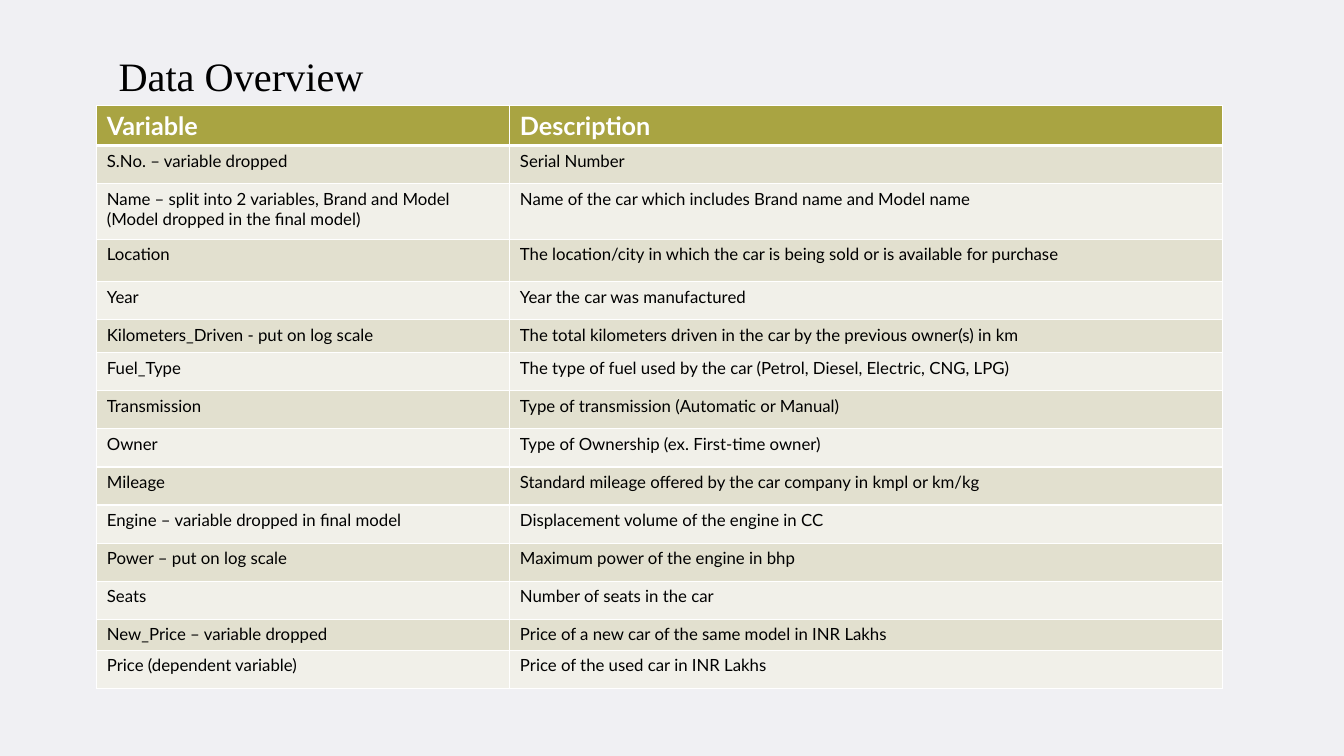
from lxml.etree import SubElement
from pptx import Presentation
from pptx.dml.color import RGBColor
from pptx.enum.text import MSO_ANCHOR
from pptx.oxml.ns import qn
from pptx.util import Cm, Pt

HUES = {
    "back": "F0F0F3",
    "head": "A9A442",
    "odd": "E2E0CF",
    "even": "F1F0E9",
    "white": "FFFFFF",
    "black": "000000",
}

ROWS = [
    ("Variable", "Description"),
    ("S.No. – variable dropped", "Serial Number"),
    ("Name – split into 2 variables, Brand and Model (Model dropped in the final model)",
     "Name of the car which includes Brand name and Model name"),
    ("Location", "The location/city in which the car is being sold or is available for purchase"),
    ("Year", "Year the car was manufactured"),
    ("Kilometers_Driven - put on log scale",
     "The total kilometers driven in the car by the previous owner(s) in km"),
    ("Fuel_Type", "The type of fuel used by the car (Petrol, Diesel, Electric, CNG, LPG)"),
    ("Transmission", "Type of transmission (Automatic or Manual)"),
    ("Owner", "Type of Ownership (ex. First-time owner)"),
    ("Mileage", "Standard mileage offered by the car company in kmpl or km/kg"),
    ("Engine – variable dropped in final model", "Displacement volume of the engine in CC"),
    ("Power – put on log scale", "Maximum power of the engine in bhp"),
    ("Seats", "Number of seats in the car"),
    ("New_Price – variable dropped", "Price of a new car of the same model in INR Lakhs"),
    ("Price (dependent variable)", "Price of the used car in INR Lakhs"),
]
COLS = [10.41, 17.96]
TALL = 0.96
ODD_TALL = {0: 1, 2: 1.4, 3: 1.07, 5: 0.83, 13: 0.78}


def hue(name):
    return RGBColor.from_string(HUES[name])


def style(para, face, size, color, bold=False):
    for run in para.runs:
        font = run.font
        font.name, font.size, font.bold = face, Pt(size), bold
        font.color.rgb = hue(color)


def add_title(slide, left, top, width, height):
    box = slide.shapes.add_textbox(Cm(left), Cm(top), Cm(width), Cm(height))
    frame = box.text_frame
    frame.word_wrap = True
    frame.vertical_anchor = MSO_ANCHOR.BOTTOM
    frame.text = "Data Overview"
    style(frame.paragraphs[0], "Times New Roman", 28.8, "black")


def add_edges(cell, row):
    props = cell._tc.get_or_add_tcPr()
    heavy = {"T": row == 1, "B": row == 0}
    for side in "LRTB":
        width = Pt(3 if heavy.get(side) else 1)
        line = SubElement(props, qn(f"a:ln{side}"), w=str(width))
        fill = SubElement(line, qn("a:solidFill"))
        SubElement(fill, qn("a:srgbClr"), val=HUES["white"])


def fill_cell(cell, row, text):
    add_edges(cell, row)
    cell.fill.solid()
    cell.fill.fore_color.rgb = hue("head" if row == 0 else "odd" if row % 2 else "even")
    cell.text_frame.text = text
    size, color = (18, "white") if row == 0 else (12, "black")
    style(cell.text_frame.paragraphs[0], "Lato", size, color, row == 0)


def add_grid(slide, left, top):
    talls = [ODD_TALL.get(row, TALL) for row in range(len(ROWS))]
    grid = slide.shapes.add_table(len(ROWS), len(COLS), Cm(left), Cm(top),
                                  Cm(sum(COLS)), Cm(sum(talls))).table
    for col, width in enumerate(COLS):
        grid.columns[col].width = Cm(width)
    for row, texts in enumerate(ROWS):
        grid.rows[row].height = Cm(talls[row])
        for col, text in enumerate(texts):
            fill_cell(grid.cell(row, col), row, text)


def main():
    deck = Presentation()
    deck.slide_width, deck.slide_height = Cm(33.87), Cm(19.05)
    slide = deck.slides.add_slide(deck.slide_layouts[6])
    slide.background.fill.solid()
    slide.background.fill.fore_color.rgb = hue("back")
    add_title(slide, 2.74, 1.09, 28.37, 1.55)
    add_grid(slide, 2.44, 2.65)
    deck.save("out.pptx")


if __name__ == "__main__":
    main()
